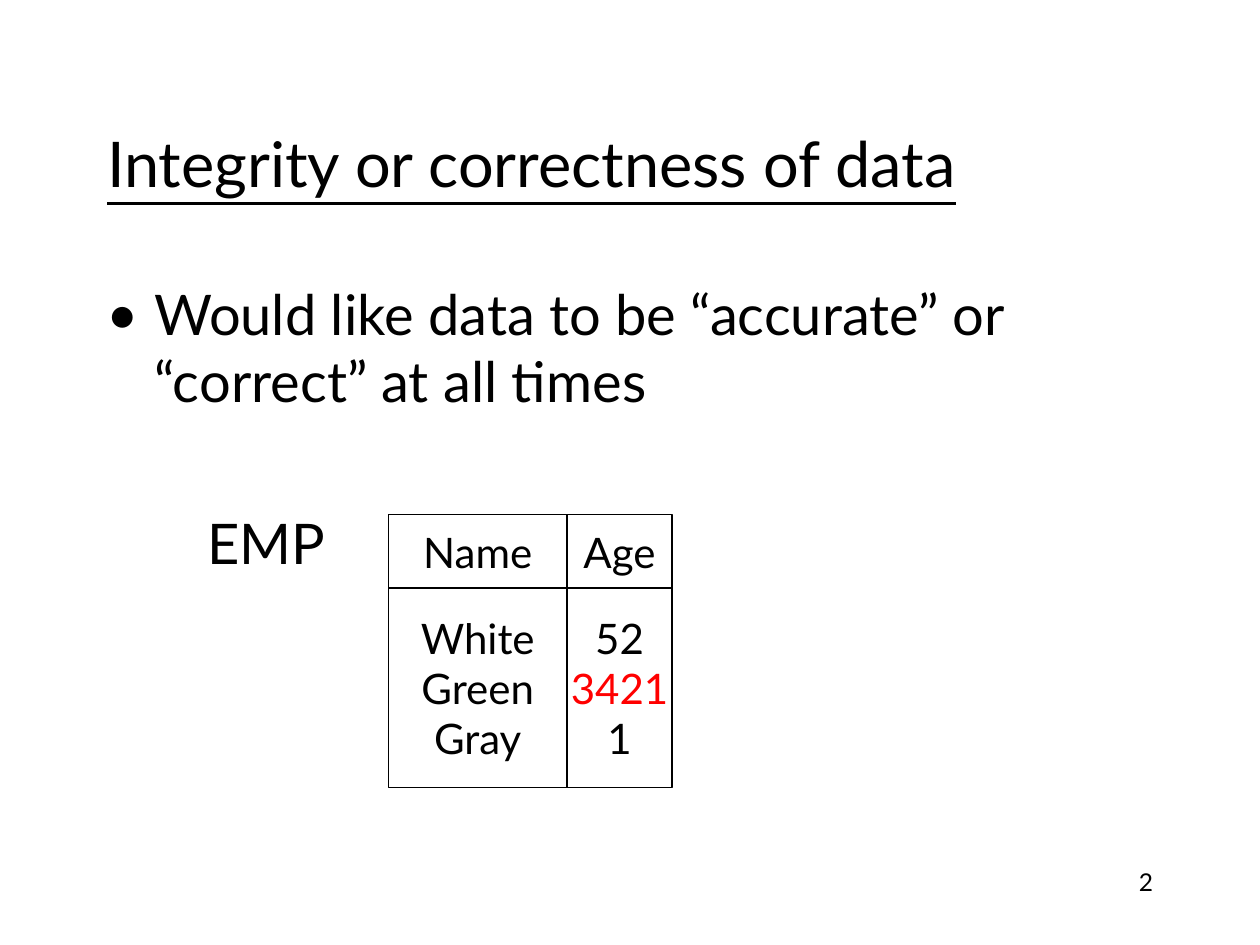
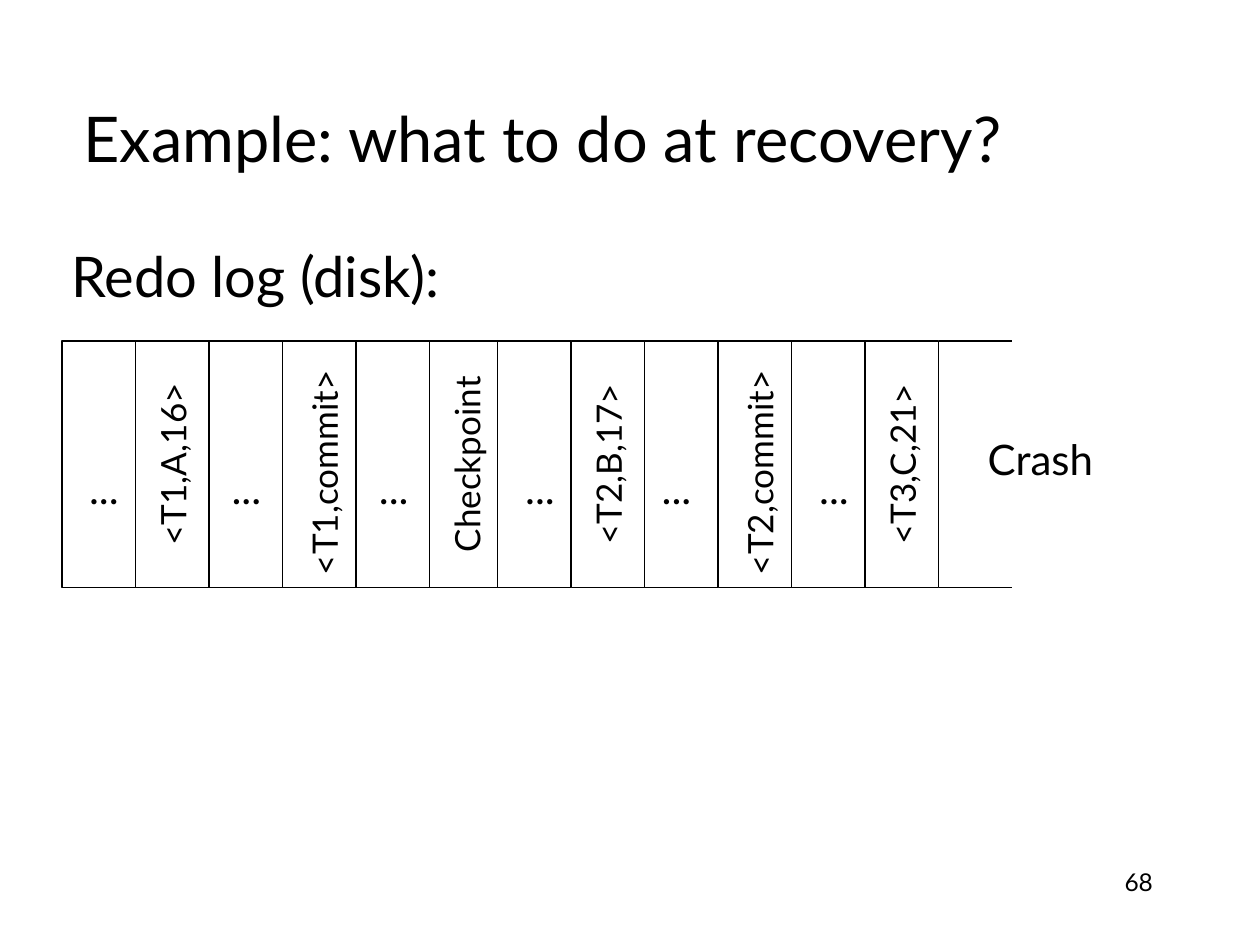
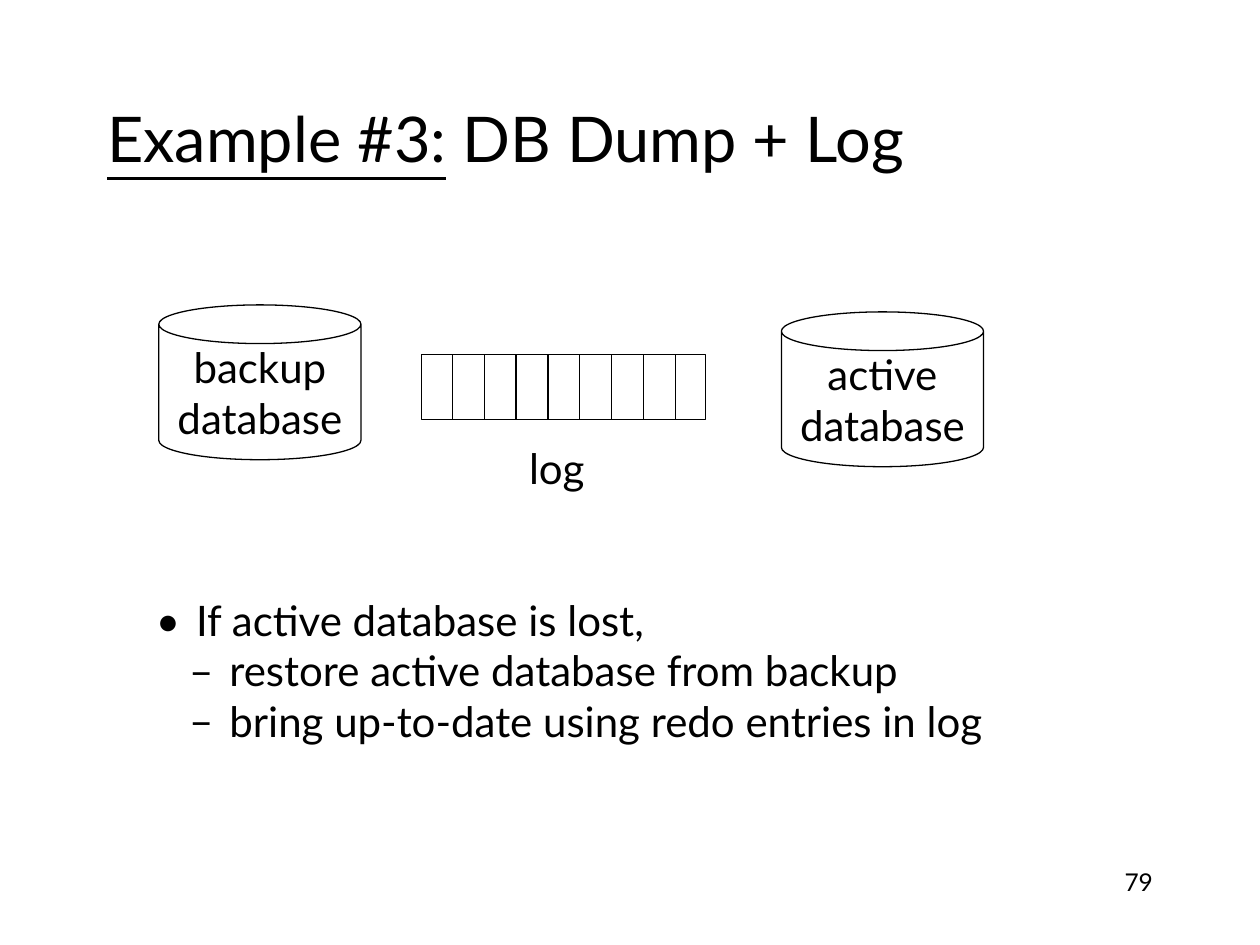
from lxml.etree import SubElement
from pptx import Presentation
from pptx.dml.color import RGBColor
from pptx.enum.shapes import MSO_CONNECTOR, MSO_SHAPE
from pptx.enum.text import MSO_ANCHOR, MSO_AUTO_SIZE, PP_ALIGN
from pptx.oxml.ns import qn
from pptx.util import Pt

FONT = "Lato"
BLACK = RGBColor(0, 0, 0)
WHITE = RGBColor(255, 255, 255)
RED = RGBColor(255, 0, 0)
LINE_WIDTH = 0.75
INSET_X, INSET_Y = 7.2, 3.6
TITLE_SIZE, BODY_SIZE, LABEL_SIZE, RECORD_SIZE, NUMBER_SIZE = 36, 32, 24, 20, 14
NUMBER_AREA = (516, 492, 150, 36)

INTEGRITY = {
    "title": [("Integrity or correctness of data", True)],
    "title_area": (54, 47.9, 612, 90),
    "number": "2",
}
ACCURACY = "Would like data to be “accurate” or “correct” at all times"
EMP_LEFT, EMP_TOP = 222, 294
EMP_COLUMNS = [
    (["Name"], ["White", "Green", "Gray"], 102),
    (["Age"], ["52", "3421", "1"], 60),
]
HEADER_HEIGHT, VALUES_HEIGHT = 42, 114
WRONG_VALUES = {"3421"}

RECOVERY = {
    "title": [("Example: what to do at recovery?", False)],
    "title_area": (40.5, 33.25, 612, 90),
    "number": "68",
}
LOG_PARTS = [
    (35.5, ["", "<T1,A,16>", "", "<T1,commit>", "", "Checkpoint"]),
    (284.4, ["", "<T2,B,17>", "", "<T2,commit>", "", "<T3,C,21>"]),
]
RECORD_TOP, RECORD_WIDTH, RECORD_HEIGHT = 194.8, 42, 141
ELLIPSIS_CENTRES = [59.4, 140.8, 225, 308.6, 386.6, 476.6]

DUMP = {
    "title": [("Example #3:", True), (" DB Dump + Log", False)],
    "title_area": (54, 48, 612, 61),
    "number": "79",
}
DATABASES = [
    (["backup", "database"], 90.75, 174.25),
    (["active", "database"], 446.5, 178.25),
]
LOG_AREA = (241, 202.5, 162, 37.25)
FIRST_DIVIDER, DIVIDER_STEP, DIVIDERS = 258.5, 18.2, 8
LOSS_STEPS = [
    ("•", "If active database is lost,", 23, -23),
    ("–", "restore active database from backup", 42, -23),
    ("–", "bring up-to-date using redo entries in log", 42, -23),
]


def points(values):
    return [Pt(value) for value in values]


def add_run(paragraph, text, size, color=BLACK, underline=None):
    run = paragraph.add_run()
    run.text = text
    run.font.name = FONT
    run.font.size = Pt(size)
    run.font.color.rgb = color
    run.font.underline = underline


def write(frame, lines, size, align=PP_ALIGN.LEFT):
    for index, line in enumerate(lines):
        paragraph = frame.add_paragraph() if index else frame.paragraphs[0]
        paragraph.alignment = align
        add_run(paragraph, line, size, RED if line in WRONG_VALUES else BLACK)


def set_frame(frame, anchor):
    frame.word_wrap = True
    frame.auto_size = MSO_AUTO_SIZE.NONE
    frame.vertical_anchor = anchor
    frame.margin_left = frame.margin_right = Pt(INSET_X)
    frame.margin_top = frame.margin_bottom = Pt(INSET_Y)


def add_text(slide, area, lines, size, align=PP_ALIGN.LEFT, anchor=MSO_ANCHOR.TOP):
    frame = slide.shapes.add_textbox(*points(area)).text_frame
    set_frame(frame, anchor)
    write(frame, lines, size, align)
    return frame


def add_label(slide, centre, top, text, width):
    add_text(slide, (centre - width / 2, top, width, 36), [text], LABEL_SIZE,
             PP_ALIGN.CENTER, MSO_ANCHOR.MIDDLE)


def add_outline(slide, preset, area):
    outline = slide.shapes.add_shape(preset, *points(area))
    outline.shadow.inherit = False
    outline.fill.solid()
    outline.fill.fore_color.rgb = WHITE
    outline.line.color.rgb = BLACK
    outline.line.width = Pt(LINE_WIDTH)
    set_frame(outline.text_frame, MSO_ANCHOR.MIDDLE)
    return outline


def add_filled_outline(slide, preset, area, lines):
    outline = add_outline(slide, preset, area)
    outline.text_frame.margin_left = outline.text_frame.margin_right = 0
    write(outline.text_frame, lines, LABEL_SIZE, PP_ALIGN.CENTER)
    return outline


def add_line(slide, *ends):
    line = slide.shapes.add_connector(MSO_CONNECTOR.STRAIGHT, *points(ends))
    line.line.color.rgb = BLACK
    line.line.width = Pt(LINE_WIDTH)
    SubElement(line._element.spPr, qn("a:effectLst"))


def set_bullet(paragraph, mark, margin, indent):
    properties = paragraph._p.get_or_add_pPr()
    properties.set("marL", str(Pt(margin)))
    properties.set("indent", str(Pt(indent)))
    SubElement(properties, qn("a:buFont"), typeface=FONT)
    SubElement(properties, qn("a:buChar"), char=mark)


def start_slide(deck, content):
    slide = deck.slides.add_slide(deck.slide_layouts[5])
    title = slide.shapes.title
    title.left, title.top, title.width, title.height = points(content["title_area"])
    set_frame(title.text_frame, MSO_ANCHOR.MIDDLE)
    heading = title.text_frame.paragraphs[0]
    heading.alignment = PP_ALIGN.LEFT
    for text, underline in content["title"]:
        add_run(heading, text, TITLE_SIZE, underline=underline)
    add_text(slide, NUMBER_AREA, [content["number"]], NUMBER_SIZE, PP_ALIGN.RIGHT)
    return slide


def build_integrity(deck):
    slide = start_slide(deck, INTEGRITY)
    accuracy = add_text(slide, (54, 156, 612, 100), [ACCURACY], BODY_SIZE)
    set_bullet(accuracy.paragraphs[0], "•", 27, -27)
    add_text(slide, (111.3, 286.8, 100, 48), ["EMP"], BODY_SIZE)
    left = EMP_LEFT
    for header, values, width in EMP_COLUMNS:
        add_filled_outline(slide, MSO_SHAPE.RECTANGLE,
                           (left, EMP_TOP, width, HEADER_HEIGHT), header)
        add_filled_outline(slide, MSO_SHAPE.RECTANGLE,
                           (left, EMP_TOP + HEADER_HEIGHT, width, VALUES_HEIGHT), values)
        left += width


def build_recovery(deck):
    slide = start_slide(deck, RECOVERY)
    add_text(slide, (33.75, 134.5, 612, 48), ["Redo log (disk):"], BODY_SIZE)
    middle = RECORD_TOP + RECORD_HEIGHT / 2
    for start, records in LOG_PARTS:
        for index, text in enumerate(records):
            centre = start + (index + 0.5) * RECORD_WIDTH
            record = add_outline(slide, MSO_SHAPE.RECTANGLE, (
                centre - RECORD_HEIGHT / 2, middle - RECORD_WIDTH / 2,
                RECORD_HEIGHT, RECORD_WIDTH))
            record.rotation = 270
            if text:
                commit = "commit" in text
                record.text_frame.margin_top = Pt(INSET_Y + 5 * commit)
                write(record.text_frame, [text], RECORD_SIZE,
                      PP_ALIGN.LEFT if commit else PP_ALIGN.CENTER)
    log_end = start + len(records) * RECORD_WIDTH
    for edge in (RECORD_TOP, RECORD_TOP + RECORD_HEIGHT):
        add_line(slide, log_end, edge, log_end + RECORD_WIDTH, edge)
    add_label(slide, 594.5, 244, "Crash", 80)
    for centre in ELLIPSIS_CENTRES:
        add_label(slide, centre, 260.5, "...", 36)


def build_dump(deck):
    slide = start_slide(deck, DUMP)
    for lines, left, top in DATABASES:
        database = add_filled_outline(slide, MSO_SHAPE.CAN, (left, top, 115.5, 88.5), lines)
        database.adjustments[0] = 0.25
    add_outline(slide, MSO_SHAPE.RECTANGLE, LOG_AREA)
    _, top, _, height = LOG_AREA
    for index in range(DIVIDERS):
        x = FIRST_DIVIDER + index * DIVIDER_STEP
        add_line(slide, x, top, x, top + height)
    add_label(slide, 318.2, 249, "log", 50)
    steps = add_text(slide, (82, 336.25, 534, 93.5), [step[1] for step in LOSS_STEPS],
                     LABEL_SIZE, anchor=MSO_ANCHOR.MIDDLE)
    for paragraph, (mark, _, margin, indent) in zip(steps.paragraphs, LOSS_STEPS):
        set_bullet(paragraph, mark, margin, indent)


def main():
    deck = Presentation()
    deck.slide_width, deck.slide_height = Pt(720), Pt(540)
    build_integrity(deck)
    build_recovery(deck)
    build_dump(deck)
    deck.save("out.pptx")


if __name__ == "__main__":
    main()
